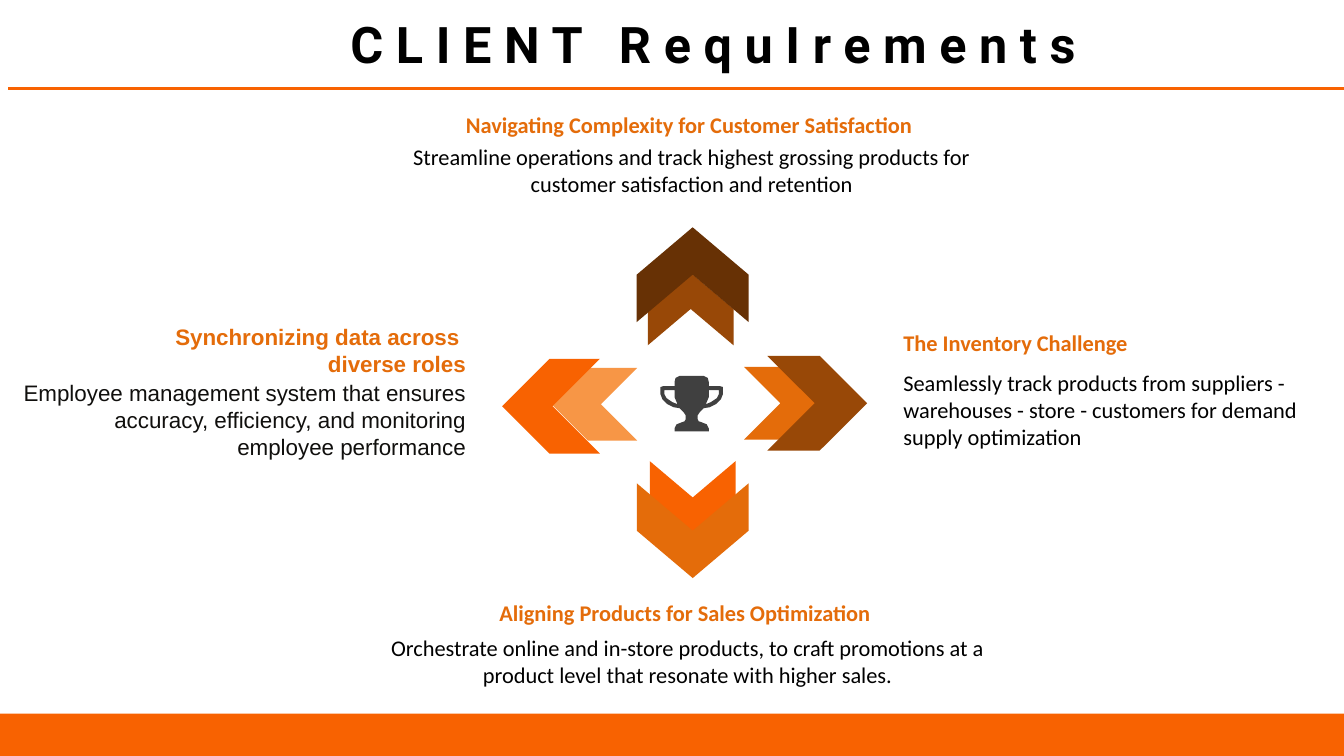
from lxml import etree
from pptx import Presentation
from pptx.dml.color import RGBColor
from pptx.enum.shapes import MSO_CONNECTOR, MSO_SHAPE
from pptx.enum.text import MSO_ANCHOR, PP_ALIGN
from pptx.oxml.ns import qn
from pptx.util import Inches, Pt

RECTANGLE, CHEVRON = MSO_SHAPE.RECTANGLE, MSO_SHAPE.CHEVRON
STRAIGHT = MSO_CONNECTOR.STRAIGHT
LEFT, CENTER, RIGHT = PP_ALIGN.LEFT, PP_ALIGN.CENTER, PP_ALIGN.RIGHT
TOP, MIDDLE = MSO_ANCHOR.TOP, MSO_ANCHOR.MIDDLE

ORANGE, DARK_ORANGE, LIGHT_ORANGE = "F86201", "E46C0A", "F79646"
BROWN, DARK_BROWN = "984807", "673105"
BLACK, NEAR_BLACK, GRAY = "000000", "100F0D", "404040"

# Chevrons: left, top, width, height, rotation, colour
CHEVRONS = [
    (7.38, 3.64, 0.76, 0.72, 0, DARK_ORANGE),
    (7.61, 3.53, 0.99, 0.94, 0, BROWN),
    (5.47, 3.65, 0.85, 0.72, 180, LIGHT_ORANGE),
    (4.98, 3.56, 0.97, 0.94, 180, ORANGE),
    (6.51, 4.51, 0.72, 0.85, 90, ORANGE),
    (6.40, 4.71, 0.94, 1.11, 90, DARK_ORANGE),
    (6.49, 2.64, 0.72, 0.85, 270, BROWN),
    (6.40, 2.17, 0.94, 1.11, 270, DARK_BROWN),
]

# Requirements: heading box, heading lines, body box, body, alignment, font, body colour
REQUIREMENTS = [
    ((0.47, 3.2, 4.15, 0.54), ["Synchronizing data across ", "diverse roles"],
     (0.19, 3.76, 4.43, 0.81),
     "Employee management system that ensures accuracy, efficiency, "
     "and monitoring employee performance", RIGHT, "Arial", NEAR_BLACK),
    ((8.96, 3.26, 2.61, 0.27), ["The Inventory Challenge"],
     (8.96, 3.66, 4.05, 0.81),
     "Seamlessly track products from suppliers - warehouses - store - "
     "customers for demand supply optimization", LEFT, "Calibri", BLACK),
    ((4.22, 1.1, 5.23, 0.27), ["Navigating Complexity for Customer Satisfaction"],
     (4.06, 1.42, 5.6, 0.54),
     "Streamline operations and track highest grossing products for "
     "customer satisfaction and retention", CENTER, "Calibri", BLACK),
    ((4.58, 5.94, 4.43, 0.27), ["Aligning Products for Sales Optimization"],
     (3.75, 6.29, 6.14, 0.54),
     "Orchestrate online and in-store products, to craft promotions at a "
     "product level that resonate with higher sales.", CENTER, "Calibri", BLACK),
]

# Trophy: right half of the outline and right handle hole, x measured from the axis
TROPHY_AXIS = 6.86
TROPHY_HALF = [
    (0, 3.73), (0.12, 3.73), (0.16, 3.75), (0.17, 3.79), (0.17, 3.83),
    (0.28, 3.83), (0.31, 3.84), (0.31, 3.91), (0.29, 3.96), (0.24, 4.01),
    (0.18, 4.04), (0.12, 4.05), (0.08, 4.09), (0.06, 4.12), (0.06, 4.16),
    (0.07, 4.18), (0.1, 4.19), (0.15, 4.21), (0.17, 4.25), (0.17, 4.28),
]
HANDLE_HOLE = [
    (0.27, 3.87), (0.17, 3.87), (0.17, 3.94), (0.14, 4.01),
    (0.19, 3.99), (0.25, 3.95), (0.27, 3.91),
]


def color(hex_string):
    return RGBColor.from_string(hex_string)


def paint(shape, fill):
    shape.shadow.inherit = False
    shape.fill.solid()
    shape.fill.fore_color.rgb = color(fill)
    shape.line.fill.background()


def add_block(slide, kind, left, top, width, height, fill, rotation=0):
    shape = slide.shapes.add_shape(
        kind, Inches(left), Inches(top), Inches(width), Inches(height))
    shape.rotation = rotation
    paint(shape, fill)


def add_text(slide, box, lines, font_name, size, hex_color, align,
             bold=False, anchor=TOP, spacing=0):
    frame = slide.shapes.add_textbox(*[Inches(length) for length in box]).text_frame
    frame.word_wrap = True
    frame.vertical_anchor = anchor
    frame.margin_left = frame.margin_right = 0
    frame.margin_top = frame.margin_bottom = 0
    for index, line in enumerate(lines):
        paragraph = frame.add_paragraph() if index else frame.paragraphs[0]
        paragraph.alignment = align
        run = paragraph.add_run()
        run.text = line
        font = run.font
        font.name, font.size, font.bold = font_name, Pt(size), bold
        font.color.rgb = color(hex_color)
        if spacing:
            run._r.get_or_add_rPr().set("spc", str(spacing * 100))


def add_rule(slide, x1, x2, y, hex_color, width):
    rule = slide.shapes.add_connector(
        STRAIGHT, Inches(x1), Inches(y), Inches(x2), Inches(y))
    rule.line.color.rgb = color(hex_color)
    rule.line.width = Pt(width)
    etree.SubElement(rule._element.spPr, qn("a:effectLst"))


def trophy_points(points, side):
    return [(Inches(TROPHY_AXIS + side * x), Inches(y)) for x, y in points]


def add_trophy(slide):
    outline = trophy_points(TROPHY_HALF, 1) + trophy_points(TROPHY_HALF, -1)[::-1]
    builder = slide.shapes.build_freeform(*outline[0])
    builder.add_line_segments(outline[1:], close=True)
    for side in (1, -1):
        hole = trophy_points(HANDLE_HOLE, side)
        builder.move_to(*hole[0])
        builder.add_line_segments(hole[1:], close=True)
    paint(builder.convert_to_shape(), GRAY)


def main():
    presentation = Presentation()
    presentation.slide_width = Inches(13.33)
    presentation.slide_height = Inches(7.5)
    slide = presentation.slides.add_slide(presentation.slide_layouts[6])

    # Footer bar
    add_block(slide, RECTANGLE, 0, 7.08, 13.33, 0.42, ORANGE)

    # Arrows around the trophy
    for left, top, width, height, rotation, fill in CHEVRONS:
        add_block(slide, CHEVRON, left, top, width, height, fill, rotation)
    add_trophy(slide)

    # Four requirements
    for heading_box, heading, body_box, body, align, font, body_color in REQUIREMENTS:
        add_text(slide, body_box, [body], font, 16, body_color, align)
        add_text(slide, heading_box, heading, font, 16, DARK_ORANGE, align,
                 bold=True, anchor=MIDDLE)

    # Title and rule
    add_text(slide, (2.28, 0.13, 9.59, 0.62), ["CLIENT RequIrements"], "Roboto", 36,
             BLACK, CENTER, bold=True, spacing=9)
    add_rule(slide, 0.08, 13.33, 0.88, ORANGE, 2)

    presentation.save("out.pptx")


if __name__ == "__main__":
    main()
